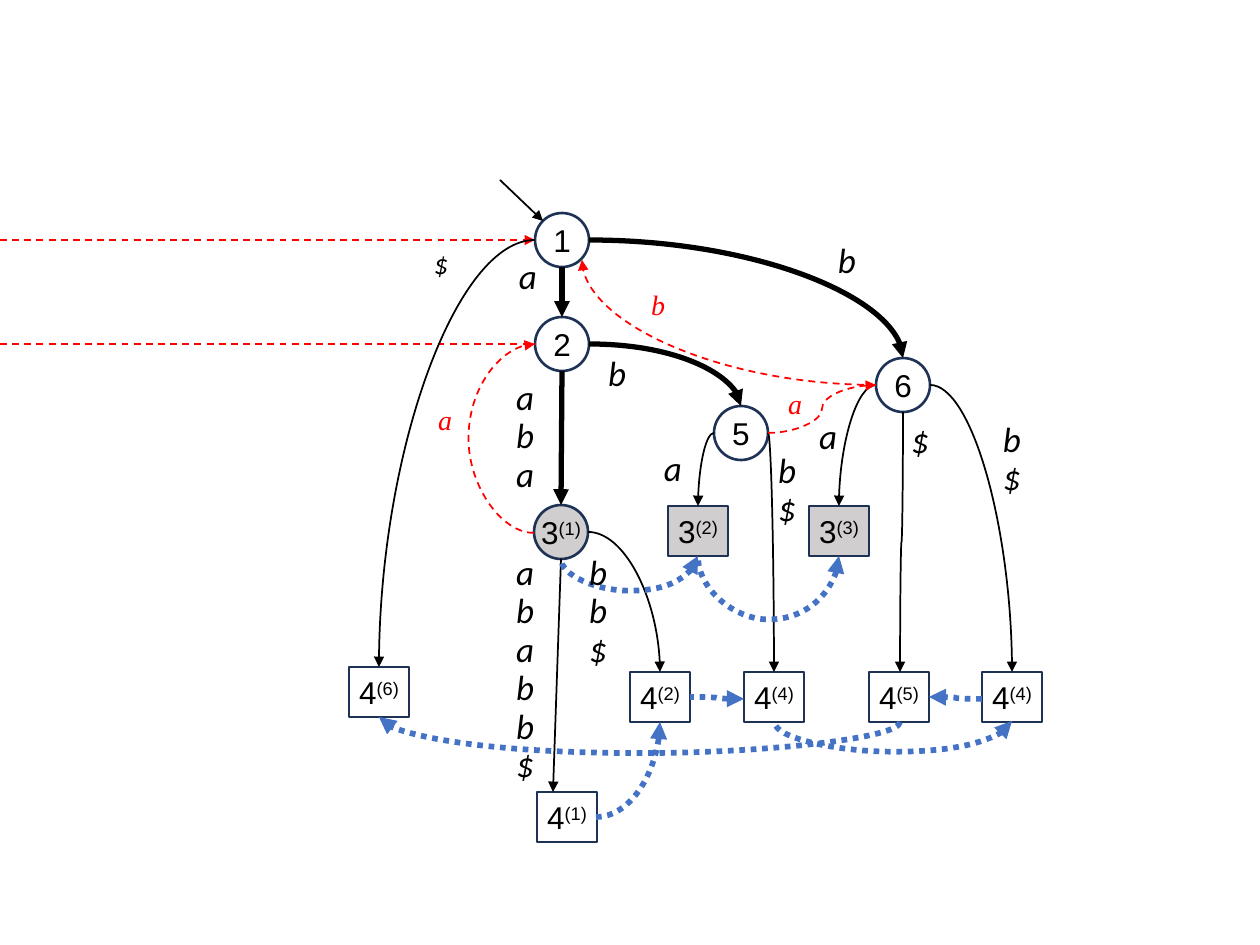
import pptx
import pptx.util
import pptx.dml.color
import pptx.enum.dml
import pptx.enum.shapes
import pptx.enum.text
import pptx.oxml.ns
import lxml.etree as etree

qn = pptx.oxml.ns.qn
rgb = pptx.dml.color.RGBColor.from_string
Pt = pptx.util.Pt
SHAPE = pptx.enum.shapes.MSO_SHAPE
CONNECTOR = pptx.enum.shapes.MSO_CONNECTOR
DASH = pptx.enum.dml.MSO_LINE
CENTER = pptx.enum.text.PP_ALIGN.CENTER
MIDDLE = pptx.enum.text.MSO_ANCHOR.MIDDLE


def px(n):
    return pptx.util.Emu(round(n * 914400 / 126))


prs = pptx.Presentation()
prs.slide_width, prs.slide_height = px(1260), px(945)
s = prs.slides.add_slide(prs.slide_layouts[6])

WHITE, GREY = "FFFFFF", "D0CECE"
CIRCLE = (SHAPE.OVAL, 54, 54, 0)
BOX = (SHAPE.RECTANGLE, 60, 50, 5)
nodes = [
    (CIRCLE, 535, 213, "1", "", WHITE),
    (CIRCLE, 535, 317, "2", "", WHITE),
    (CIRCLE, 876, 358, "6", "", WHITE),
    (CIRCLE, 714, 406, "5", "", WHITE),
    (CIRCLE, 534, 505, "3", "(1)", GREY),
    (BOX, 537, 792, "4", "(1)", WHITE),
    (BOX, 744, 672, "4", "(4)", WHITE),
    (BOX, 869, 672, "4", "(5)", WHITE),
    (BOX, 809, 506, "3", "(3)", GREY),
    (BOX, 668, 506, "3", "(2)", GREY),
    (BOX, 982, 672, "4", "(4)", WHITE),
    (BOX, 630, 672, "4", "(2)", WHITE),
    (BOX, 349, 667, "4", "(6)", WHITE),
]
for (kind, w, h, inset), x, y, name, index, fill in nodes:
    sp = s.shapes.add_shape(kind, px(x), px(y), px(w), px(h))
    sp.shadow.inherit = False
    sp.fill.solid()
    sp.fill.fore_color.rgb = rgb(fill)
    sp.line.color.rgb = rgb("1E3256")
    sp.line.width = Pt(1.5)
    tf = sp.text_frame
    tf.word_wrap = False
    tf.vertical_anchor = MIDDLE
    tf.margin_left = tf.margin_right = px(inset)
    tf.margin_top = tf.margin_bottom = 0
    p = tf.paragraphs[0]
    p.alignment = CENTER
    p.font.name, p.font.size = "Arial", Pt(18)
    p.font.color.rgb = rgb("000000")
    p.add_run().text = name
    if index:
        r = p.add_run()
        r.text = index
        r._r.get_or_add_rPr().set("baseline", "30000")

THICK = ("000000", 3, None, "tailEnd")
THIN = ("000000", 1, None, "tailEnd")
RED = ("FF0000", 1, DASH.DASH, "tailEnd")
RED_PLAIN = ("FF0000", 1, DASH.DASH, None)
BLUE = ("4472C4", 3.25, DASH.ROUND_DOT, "tailEnd")
BLUE_BACK = ("4472C4", 3.25, DASH.ROUND_DOT, "headEnd")
edges = [
    (THICK, "line", 562, 267, 562, 317, None),
    (THICK, "line", 562, 371, 561, 505, None),
    (THIN, "line", 561, 559, 553, 792, None),
    (THIN, "line", 500, 180, 543, 221, None),
    (RED, "line", 0, 240, 535, 240, None),
    (RED_PLAIN, "line", 0, 344, 535, 344, None),
    (THICK, "arc", 589, 344, 741, 406, None),
    (THICK, "arc", 589, 240, 903, 358, None),
    (THIN, "arc", 535, 240, 379, 667, None),
    (THIN, "arc", 930, 385, 1012, 672, None),
    (THIN, "arc", 714, 433, 698, 506, None),
    (THIN, "arc", 876, 385, 839, 506, None),
    (THIN, "arc", 768, 433, 774, 672, None),
    (THIN, "arc", 588, 532, 660, 672, None),
    (THIN, "vertical", 903, 412, 900, 672, 542),
    (RED, "horizontal", 534, 533, 535, 344, 468),
    (RED, "arc", 876, 385, 582, 260, None),
    (RED, "horizontal", 768, 433, 876, 385, 822),
    (BLUE, "arc", 596, 817, 660, 722, None),
    (BLUE_BACK, "horizontal", 744, 699, 690, 697, 717),
    (BLUE_BACK, "vertical", 1012, 721, 775, 723, 752),
    (BLUE_BACK, "vertical", 839, 556, 698, 557, 620),
    (BLUE_BACK, "vertical", 698, 556, 561, 559, 591),
    (BLUE, "horizontal", 982, 699, 929, 697, 956),
    (BLUE, "vertical", 900, 722, 379, 717, 753),
]
for (color, width, dash, arrow), route, x1, y1, x2, y2, bend in edges:
    ends = (x1, y1, x2, y2)
    if route == "vertical":
        cx, cy = (x1 + x2) / 2, (y1 + y2) / 2
        a, b = (y2 - y1) / 2, (x1 - x2) / 2
        ends = (cx - a, cy - b, cx + a, cy + b)
    kind = CONNECTOR.STRAIGHT if route == "line" else CONNECTOR.CURVE
    sp = s.shapes.add_connector(kind, *[px(n) for n in ends])
    spPr = sp._element.spPr
    geom = spPr.find(qn("a:prstGeom"))
    if route == "arc":
        geom.set("prst", "curvedConnector2")
    if route == "vertical":
        spPr.find(qn("a:xfrm")).set("rot", "5400000")
    if bend is not None:
        start, end = (y1, y2) if route == "vertical" else (x1, x2)
        adj = round((bend - start) / (end - start) * 100000)
        etree.SubElement(geom.find(qn("a:avLst")), qn("a:gd"), name="adj1", fmla=f"val {adj}")
    sp.line.color.rgb = rgb(color)
    sp.line.width = Pt(width)
    if dash:
        sp.line.dash_style = dash
    if arrow:
        etree.SubElement(spPr.find(qn("a:ln")), qn("a:" + arrow), type="triangle")
    etree.SubElement(spPr, qn("a:effectLst"))

BLACK_TEXT = ("Calibri", 20, "000000")
SMALL_TEXT = ("Calibri", 16, "000000")
RED_TEXT = ("Times New Roman", 16, "FF0000")
labels = [
    (SMALL_TEXT, 426, 237, 30, 47, ["$"]),
    (BLACK_TEXT, 510, 374, 30, 127, ["aba"]),
    (BLACK_TEXT, 510, 549, 30, 243, ["ababb$"]),
    (BLACK_TEXT, 513, 253, 30, 49, ["a"]),
    (BLACK_TEXT, 998, 416, 24, 88, ["b$"]),
    (BLACK_TEXT, 905, 417, 30, 49, ["$"]),
    (BLACK_TEXT, 772, 447, 30, 88, ["b$"]),
    (BLACK_TEXT, 602, 350, 30, 49, ["b"]),
    (BLACK_TEXT, 658, 445, 30, 49, ["a"]),
    (BLACK_TEXT, 832, 237, 30, 49, ["b"]),
    (BLACK_TEXT, 813, 413, 30, 49, ["a"]),
    (BLACK_TEXT, 583, 549, 30, 127, ["b", "b$"]),
    (RED_TEXT, 643, 278, 30, 47, ["b"]),
    (RED_TEXT, 780, 377, 30, 47, ["a"]),
    (RED_TEXT, 430, 393, 30, 47, ["a"]),
]
for (font, size, color), x, y, w, h, lines in labels:
    sp = s.shapes.add_textbox(px(x), px(y), px(w), px(h))
    tf = sp.text_frame
    tf.word_wrap = True
    tf.auto_size = pptx.enum.text.MSO_AUTO_SIZE.SHAPE_TO_FIT_TEXT
    tf.margin_left = tf.margin_right = tf.margin_top = tf.margin_bottom = px(5)
    for i, text in enumerate(lines):
        p = tf.add_paragraph() if i else tf.paragraphs[0]
        p.alignment = CENTER
        p.line_spacing = Pt(22)
        p.font.name, p.font.size, p.font.italic = font, Pt(size), True
        p.font.color.rgb = rgb(color)
        p.add_run().text = text

prs.save("out.pptx")
